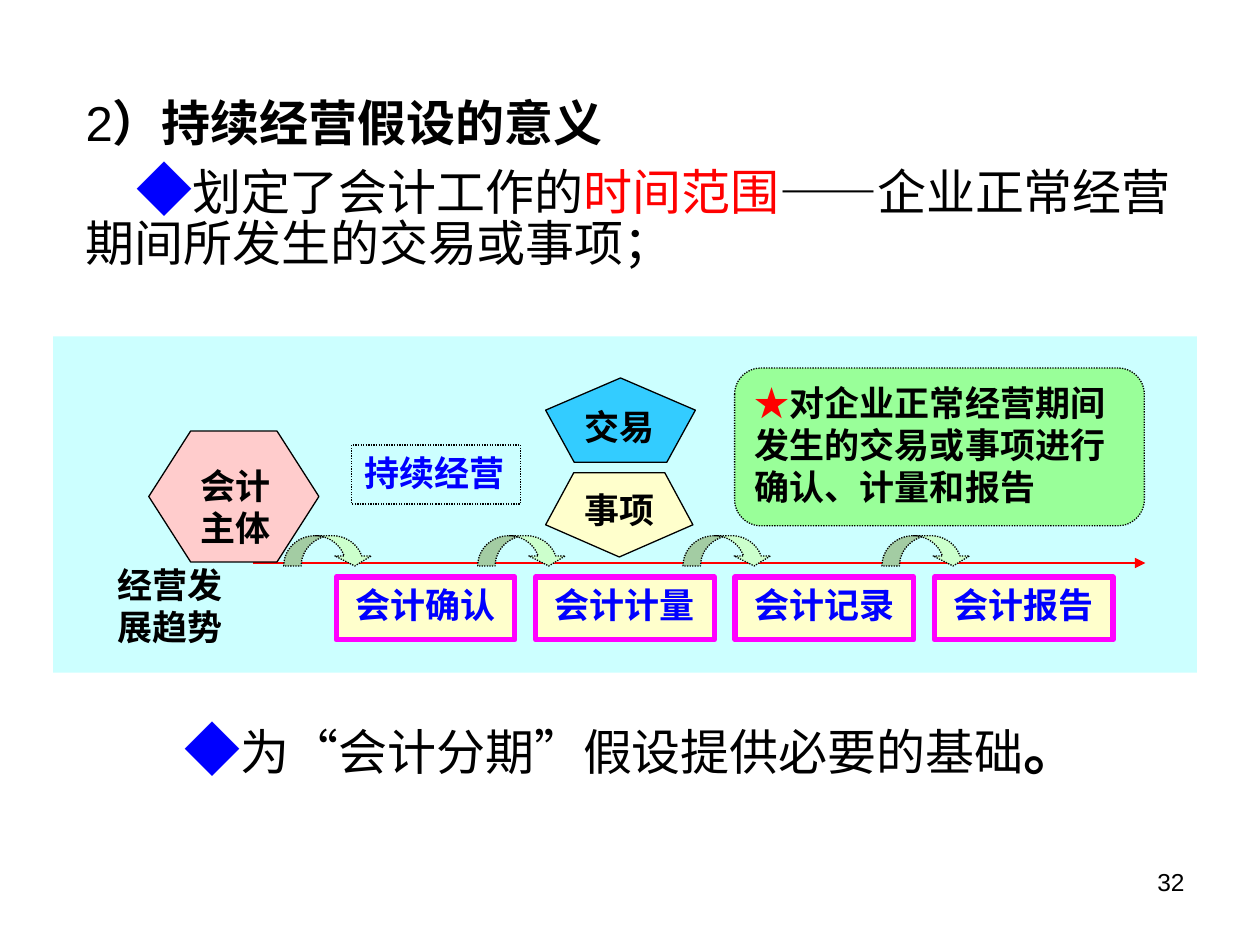
from lxml.etree import SubElement
from pptx import Presentation
from pptx.dml.color import RGBColor
from pptx.enum.dml import MSO_LINE
from pptx.enum.shapes import MSO_CONNECTOR, MSO_SHAPE
from pptx.enum.text import MSO_ANCHOR, MSO_AUTO_SIZE, PP_ALIGN
from pptx.oxml.ns import qn
from pptx.util import Cm, Pt

CJK = "Noto Sans CJK SC"


def write(paragraph, runs, align=PP_ALIGN.LEFT):
    paragraph.alignment = align
    for text, size, face, color, bold in runs:
        run = paragraph.add_run()
        run.text = text
        run.font.size = Pt(size)
        run.font.bold = bold
        run.font.color.rgb = RGBColor.from_string(color)
        run.font.name = face
        SubElement(run.font._element, qn("a:ea")).set("typeface", CJK)


def place(preset, box, fill=None, line=None, width=0.75, dash=None):
    shape = slide.shapes.add_shape(preset, *map(Cm, box))
    shape.shadow.inherit = False
    if fill:
        shape.fill.solid()
        shape.fill.fore_color.rgb = RGBColor.from_string(fill)
    else:
        shape.fill.background()
    if line:
        shape.line.color.rgb = RGBColor.from_string(line)
        shape.line.width = Pt(width)
        shape.line.dash_style = dash
    else:
        shape.line.fill.background()
    shape.text_frame.word_wrap = True
    shape.text_frame.vertical_anchor = MSO_ANCHOR.TOP
    return shape


prs = Presentation()
prs.slide_width, prs.slide_height = Cm(25.4), Cm(19.05)
slide = prs.slides.add_slide(prs.slide_layouts[0])

heading, scope = slide.placeholders
for holder, top, height in ((heading, 1.73, 1.46), (scope, 3.19, 3.54)):
    holder.left, holder.top = Cm(1.47), Cm(top)
    holder.width, holder.height = Cm(22.86), Cm(height)
    holder.text_frame.auto_size = MSO_AUTO_SIZE.NONE
    holder.text_frame.word_wrap = True
heading.text_frame.vertical_anchor = MSO_ANCHOR.MIDDLE
scope.text_frame.vertical_anchor = MSO_ANCHOR.TOP
write(heading.text_frame.paragraphs[0], [
    ("2", 28, "Arial", "000000", False),
    ("）持续经营假设的意义", 28, CJK, "000000", True),
])
scope_line = scope.text_frame.paragraphs[0]
scope_line._p.get_or_add_pPr().set("indent", str(Cm(1.02)))
scope_line.line_spacing = 0.85
scope_line.space_before = Pt(0)
write(scope_line, [
    ("◆", 32, "Arial", "0000FF", False),
    ("划定了会计工作的", 28, CJK, "000000", False),
    ("时间范围", 28, CJK, "FF0000", False),
    ("——企业正常经营期间所发生的交易或事项；", 28, CJK, "000000", False),
])

basis = slide.shapes.add_textbox(Cm(1.93), Cm(14.27), Cm(22.2), Cm(1.6))
basis.text_frame.word_wrap = True
basis_line = basis.text_frame.paragraphs[0]
basis_line._p.get_or_add_pPr().set("indent", str(Cm(1.54)))
write(basis_line, [
    ("◆", 32, "Arial", "0000FF", False),
    ("为“会计分期”假设提供必要的基础", 28, CJK, "000000", False),
    ("。", 32, "Arial", "000000", True),
])

place(MSO_SHAPE.RECTANGLE, (1.07, 6.78, 23.06, 6.78), "CCFFFF")

trend = slide.shapes.add_connector(
    MSO_CONNECTOR.STRAIGHT, Cm(5.1), Cm(11.35), Cm(23.09), Cm(11.35))
trend.line.color.rgb = RGBColor.from_string("FF0000")
trend.line.width = Pt(1.5)
SubElement(trend.line._get_or_add_ln(), qn("a:tailEnd")).set("type", "triangle")
SubElement(trend._element.spPr, qn("a:effectLst"))

going_concern = place(MSO_SHAPE.RECTANGLE, (7.09, 8.97, 3.4, 1.19),
                      line="000000", dash=MSO_LINE.ROUND_DOT)
write(going_concern.text_frame.paragraphs[0],
      [("持续经营", 20, "Times New Roman", "0000FF", True)])

for word, box, fill, flip, label_top in (
    ("事项", (11, 9.53, 2.97, 1.7), "FFFFCC", True, 9.73),
    ("交易", (11, 7.62, 3.02, 1.7), "33CCFF", False, 8.05),
):
    pentagon = place(MSO_SHAPE.REGULAR_PENTAGON, box, fill, "000000")
    if flip:
        pentagon._element.spPr.xfrm.set("flipV", "1")
    label = place(MSO_SHAPE.RECTANGLE, (11.23, label_top, 2.54, 1.27))
    write(label.text_frame.paragraphs[0],
          [(word, 20, "Arial", "000000", True)], PP_ALIGN.CENTER)

entity = place(MSO_SHAPE.HEXAGON, (3, 8.69, 3.43, 2.64), "FFCCCC", "000000")
entity.adjustments[0] = 0.32
entity_label = place(MSO_SHAPE.RECTANGLE, (3.48, 9.16, 2.54, 2.11))
entity_label.text_frame.vertical_anchor = MSO_ANCHOR.MIDDLE
write(entity_label.text_frame.paragraphs[0],
      [("会计主体", 20, "Times New Roman", "000000", True)], PP_ALIGN.CENTER)

steps = ("会计确认", "会计计量", "会计记录", "会计报告")
for index, (step, hop_left) in enumerate(zip(steps, (5.72, 9.63, 13.77, 17.78))):
    hop = place(MSO_SHAPE.CURVED_DOWN_ARROW, (hop_left, 10.8, 1.8, 0.61),
                "CCFFCC", "000000", dash=MSO_LINE.ROUND_DOT)
    for position, value in enumerate((0.58, 1.2, 0.33)):
        hop.adjustments[position] = value
    step_box = place(MSO_SHAPE.RECTANGLE, (6.78 + 4.02 * index, 11.63, 3.6, 1.27),
                     "FFFFCC", "FF00FF", 3)
    write(step_box.text_frame.paragraphs[0],
          [(step, 20, "Arial", "0000FF", True)], PP_ALIGN.CENTER)

direction = place(MSO_SHAPE.RECTANGLE, (2.11, 11.23, 2.79, 2.01))
write(direction.text_frame.paragraphs[0],
      [("经营发", 20, "Times New Roman", "000000", True)])
write(direction.text_frame.add_paragraph(),
      [("展趋势", 20, "Times New Roman", "000000", True)])

summary = place(MSO_SHAPE.ROUNDED_RECTANGLE, (14.81, 7.42, 8.26, 3.18),
                "99FF99", "000000", dash=MSO_LINE.ROUND_DOT)
write(summary.text_frame.paragraphs[0], [
    ("★", 20, CJK, "FF0000", True),
    ("对企业正常经营期间发生的交易或事项进行确认、计量和报告", 20, CJK, "000000", True),
])

page = slide.shapes.add_textbox(Cm(18.21), Cm(17.35), Cm(5.92), Cm(1.32))
page.text_frame.word_wrap = True
write(page.text_frame.paragraphs[0],
      [("32", 14, "Arial", "000000", False)], PP_ALIGN.RIGHT)

prs.save("out.pptx")
